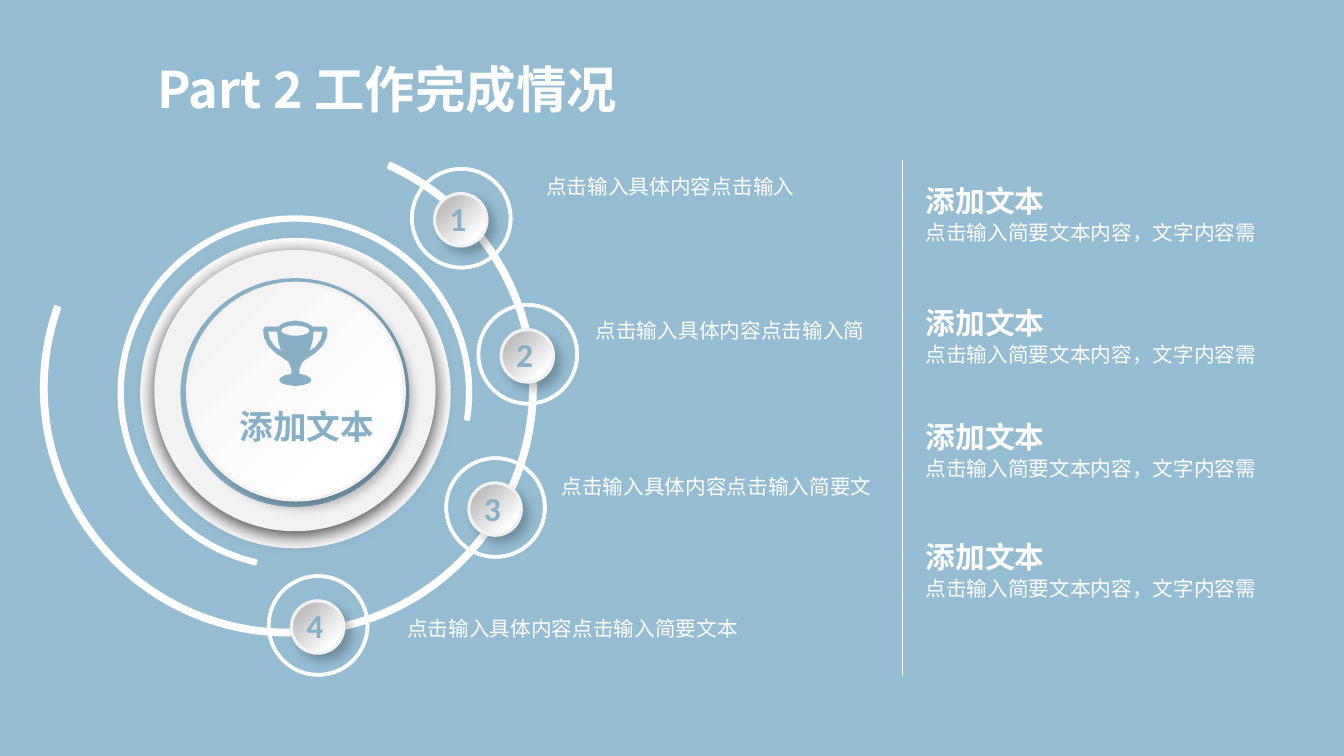
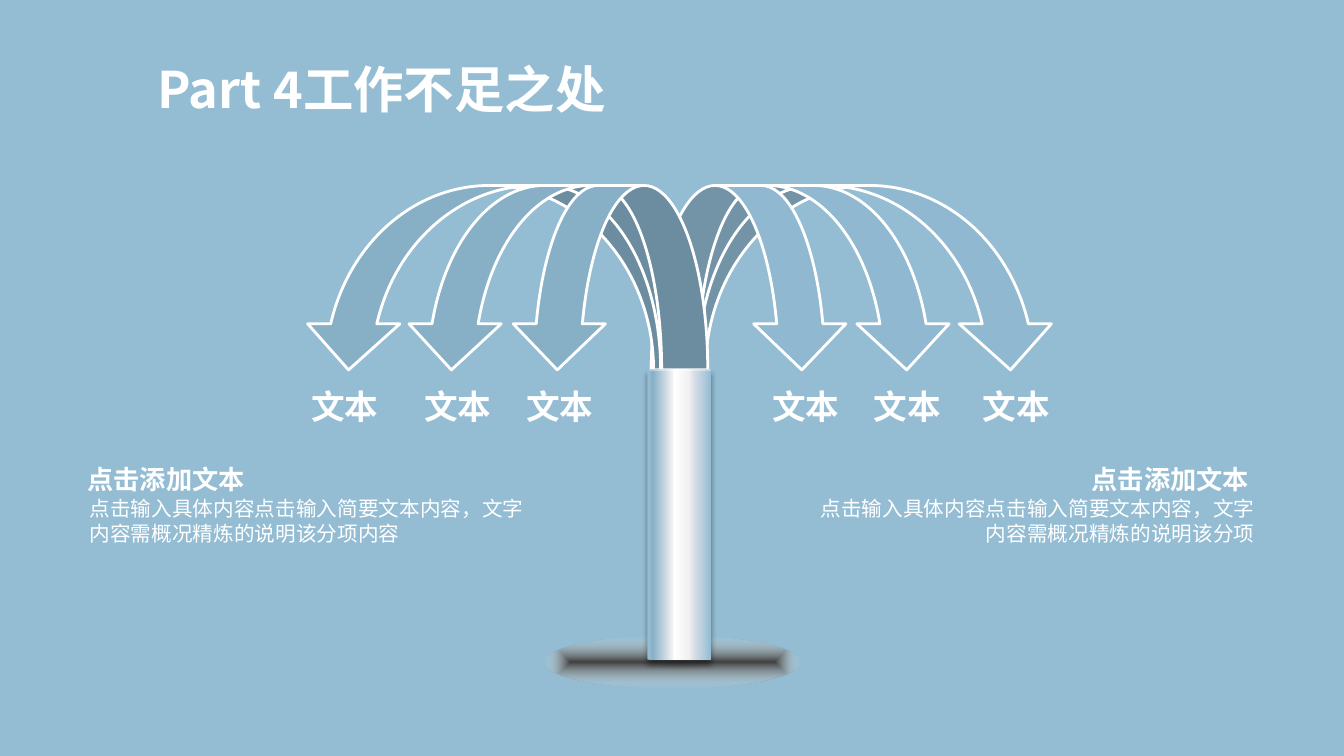
import math
from dataclasses import dataclass

import pptx
import pptx.dml.color
import pptx.enum.shapes
import pptx.enum.text
import pptx.oxml
import pptx.oxml.ns
import pptx.util
from lxml import etree

Inches, Pt = pptx.util.Inches, pptx.util.Pt
RGB = pptx.dml.color.RGBColor.from_string
KIND = pptx.enum.shapes.MSO_SHAPE
ALIGN = pptx.enum.text.PP_ALIGN
qn = pptx.oxml.ns.qn


@dataclass(frozen=True)
class Look:
    size: float
    color: str = "FFFFFF"
    bold: bool = True
    font: str = "Noto Sans CJK SC"
    lead: float = 1.28


class Theme:
    back, white, pale, blue, sky = "94BDD4", "FFFFFF", "F2F2F2", "87B0C7", "90B9D1"
    title = Look(36)
    label = Look(24)
    badge = Look(24, blue)
    digit = Look(24, blue, font="Calibri", lead=1.22)
    head = Look(21.3)
    sub = Look(18.7)
    text = Look(14.7, bold=False, lead=1.22)
    note = Look(14.7, bold=False, lead=1.27)
    disc = [(0, pale), (80, white), (100, white)]
    knob = [(20, "BFBFBF"), (80, white), (100, white)]
    pipe = [(2, back), (9, blue), (40, pale), (42, white), (65, pale),
            (75, "D6DCE5"), (100, back)]
    soft = ("000000", 23, 7, 5.9, 45)


def write(frame, items, align=ALIGN.LEFT):
    """Fill a text frame with one paragraph per (text, look) pair."""
    frame.text = "\n".join(text for text, look in items)
    frame.word_wrap = True
    frame.auto_size = pptx.enum.text.MSO_AUTO_SIZE.NONE
    frame.vertical_anchor = pptx.enum.text.MSO_ANCHOR.TOP
    for para, (text, look) in zip(frame.paragraphs, items):
        para.alignment = align
        para.line_spacing = Pt(look.size * look.lead)
        para.space_before = para.space_after = Pt(0)
        for run in para.runs:
            font = run.font
            font.size, font.bold, font.name = Pt(look.size), look.bold, look.font
            font.color.rgb = RGB(look.color)
            etree.SubElement(run._r.get_or_add_rPr(), qn("a:ea"), typeface=look.font)


def draw(shape, fill, line=None, shade=None, way='<a:lin ang="0" scaled="0"/>'):
    """Paint a shape: fill is a colour or gradient stops, line is (colour, points),
    shade is (colour, opacity, blur, distance, angle)."""
    shape.fill.solid()
    if isinstance(fill, str):
        shape.fill.fore_color.rgb = RGB(fill)
    else:
        stops = "".join(
            f'<a:gs pos="{pos * 1000}"><a:srgbClr val="{color}">'
            + "".join(f'<a:alpha val="{part * 1000}"/>' for part in alpha)
            + "</a:srgbClr></a:gs>" for pos, color, *alpha in fill)
        grad = pptx.oxml.parse_xml(
            f'<a:gradFill {pptx.oxml.ns.nsdecls("a")} rotWithShape="1">'
            f"<a:gsLst>{stops}</a:gsLst>{way}</a:gradFill>")
        props = shape.element.spPr
        props.replace(props.find(qn("a:solidFill")), grad)
    if line:
        shape.line.color.rgb, shape.line.width = RGB(line[0]), Pt(line[1])
    else:
        shape.line.fill.background()
    shape.shadow.inherit = False
    if shade:
        color, alpha, blur, dist, turn = shade
        effects = shape.element.spPr.find(qn("a:effectLst"))
        effects.append(pptx.oxml.parse_xml(
            f'<a:outerShdw {pptx.oxml.ns.nsdecls("a")} blurRad="{Pt(blur)}" '
            f'dist="{Pt(dist)}" dir="{turn * 60000}" algn="ctr" rotWithShape="0">'
            f'<a:srgbClr val="{color}"><a:alpha val="{alpha * 1000}"/></a:srgbClr>'
            "</a:outerShdw>"))


show = pptx.Presentation()
show.slide_width, show.slide_height = Inches(13.33), Inches(7.5)
master = show.slide_master
master.background.fill.solid()
master.background.fill.fore_color.rgb = RGB(Theme.back)
for holder in master.placeholders:
    if holder.placeholder_format.type == pptx.enum.shapes.PP_PLACEHOLDER.TITLE:
        holder.left, holder.top = Inches(1.46), Inches(0.49)
        holder.width, holder.height = Inches(6), Inches(0.71)

# Slide 1: work done
slide = show.slides.add_slide(show.slide_layouts[1])
shapes = slide.shapes
write(shapes.title.text_frame, [("Part 2 工作完成情况", Theme.title)])

slant = '<a:lin ang="2700000" scaled="0"/>'
for left, top, size, turn, bends in [
    (0.41, 1.4, 4.9, 199.5, (56.92, 215.88, 0.01)),
    (1.18, 2.15, 3.49, 8.1, (56.92, 0.43, 0.01)),
]:
    arc = shapes.add_shape(KIND.BLOCK_ARC, *map(Inches, (left, top, size, size)))
    arc.rotation = turn
    for index, bend in enumerate(bends):
        arc.adjustments[index] = bend
    draw(arc, Theme.white, (Theme.white, 2))

for left, top, size, fill, line, shade in [
    (1.39, 2.36, 3.08, Theme.white, None, None),
    (1.53, 2.48, 2.79, Theme.pale, None, ("000000", 76, 14, 3, 90)),
    (1.79, 2.76, 2.27, Theme.blue, None, None),
    (1.86, 2.81, 2.15, Theme.disc, (Theme.pale, 2.25), Theme.soft),
]:
    disc = shapes.add_shape(KIND.OVAL, *map(Inches, (left, top, size, size)))
    draw(disc, fill, line, shade, slant)

steps = [
    (4.07, 1.66, 5.32, 1.67, "点击输入具体内容点击输入"),
    (4.73, 3.01, 5.81, 3.1, "点击输入具体内容点击输入简"),
    (4.41, 4.53, 5.47, 4.65, "点击输入具体内容点击输入简要文"),
    (2.65, 5.7, 3.94, 6.06, "点击输入具体内容点击输入简要文本"),
]
for number, (left, top, across, down, text) in enumerate(steps, 1):
    ring = shapes.add_shape(KIND.DONUT, *map(Inches, (left, top, 1.01, 1.01)))
    ring.adjustments[0] = 0.03
    draw(ring, Theme.white, (Theme.white, 0.5))
    knob = shapes.add_shape(
        KIND.OVAL, *map(Inches, (left + 0.24, top + 0.26, 0.52, 0.52)))
    draw(knob, Theme.knob, (Theme.pale, 2.25), Theme.soft, slant)
    digit = shapes.add_textbox(*map(Inches, (left + 0.29, top + 0.25, 0.4, 0.5)))
    write(digit.text_frame, [(str(number), Theme.digit)])
    label = shapes.add_textbox(*map(Inches, (across, down, 3.6, 0.35)))
    write(label.text_frame, [(text, Theme.text)])

# Trophy: right halves as offsets from the middle, mirrored for the left
middle = 2.93
cup = [(0, 3.18), (0.07, 3.19), (0.13, 3.21), (0.17, 3.24), (0.3, 3.24),
       (0.32, 3.27), (0.31, 3.35), (0.27, 3.43), (0.2, 3.5), (0.14, 3.54),
       (0.07, 3.59), (0.04, 3.66), (0.04, 3.71), (0.1, 3.72), (0.15, 3.75),
       (0.16, 3.77), (0.14, 3.8), (0.08, 3.82), (0, 3.83)]
grip = [(0.18, 3.29), (0.27, 3.29), (0.25, 3.37), (0.2, 3.44), (0.14, 3.48),
        (0.17, 3.39)]
rim = [(0.14 * math.cos(turn), 3.28 + 0.05 * math.sin(turn))
       for turn in (math.tau * step / 32 for step in range(32))]
loops = [cup + [(-x, y) for x, y in reversed(cup)], grip,
         [(-x, y) for x, y in grip], rim]
builder = None
for loop in loops:
    start, *rest = [(Inches(middle + x), Inches(y)) for x, y in loop]
    if builder is None:
        builder = shapes.build_freeform(*start)
    else:
        builder.move_to(*start)
    builder.add_line_segments(rest, close=True)
draw(builder.convert_to_shape(), Theme.blue)

badge = shapes.add_textbox(*map(Inches, (2.28, 3.95, 1.6, 0.5)))
write(badge.text_frame, [("添加文本", Theme.badge)])

rule = shapes.add_connector(
    pptx.enum.shapes.MSO_CONNECTOR.STRAIGHT,
    *map(Inches, (8.95, 1.59, 8.95, 6.71)))
rule.line.color.rgb, rule.line.width = RGB(Theme.white), Pt(0.5)
etree.SubElement(rule.element.spPr, qn("a:effectLst"))

body = slide.placeholders[1]
body.left, body.top = Inches(9.08), Inches(1.74)
body.width, body.height = Inches(3.74), Inches(4.3)
pair = [("添加文本", Theme.head), ("点击输入简要文本内容，文字内容需", Theme.note)]
write(body.text_frame, pair * 4)
paras = body.text_frame.paragraphs
for para in paras:
    props = para._p.get_or_add_pPr()
    props.set("marL", "0")
    props.set("indent", "0")
    etree.SubElement(props, qn("a:buNone"))
for para, gap in zip(paras[2::2], (41, 35.5, 40)):
    para.space_before = Pt(gap)

# Slide 2: shortfalls
slide = show.slides.add_slide(show.slide_layouts[5])
shapes = slide.shapes
write(shapes.title.text_frame, [("Part 4工作不足之处", Theme.title)])

base = shapes.add_shape(KIND.OVAL, *map(Inches, (5.4, 6.31, 2.54, 0.52)))
draw(base, [(0, "404040"), (100, "EEECE1", 0)],
     way='<a:path path="shape"><a:fillToRect l="50000" t="50000" r="50000" '
         'b="50000"/></a:path>')

for left, lead, inset, side, text in [
    (7.94, 10.73, 4.6, ALIGN.RIGHT,
     "点击输入具体内容点击输入简要文本内容，文字内容需概况精炼的说明该分项"),
    (0.79, 0.77, 4.6, ALIGN.LEFT,
     "点击输入具体内容点击输入简要文本内容，文字内容需概况精炼的说明该分项内容"),
]:
    detail = shapes.add_textbox(*map(Inches, (left, 4.87, inset, 0.59)))
    write(detail.text_frame, [(text, Theme.text)], side)
    head = shapes.add_textbox(*map(Inches, (lead, 4.53, 1.8, 0.42)))
    write(head.text_frame, [("点击添加文本", Theme.sub)])

for flip, fill, lefts in [
    (False, Theme.sky, (6.54, 6.46, 6.46)),
    (True, Theme.blue, (3, 4.02, 5.07)),
]:
    for left, width in zip(lefts, (3.94, 2.99, 1.95)):
        arrow = shapes.add_shape(
            KIND.CURVED_DOWN_ARROW, *map(Inches, (left, 1.84, width, 1.83)))
        if flip:
            arrow.element.spPr.get_or_add_xfrm().set("flipH", "1")
        draw(arrow, fill, (Theme.white, 2))

pipe = shapes.add_shape(KIND.CAN, *map(Inches, (6.42, 3.66, 0.63, 2.89)))
pipe.adjustments[0] = 0.03
draw(pipe, Theme.pipe, shade=("000000", 40, 4, 3, 90))

for left in (2.99, 4.11, 5.12, 7.56, 8.57, 9.65):
    label = shapes.add_textbox(*map(Inches, (left, 3.75, 0.9, 0.5)))
    write(label.text_frame, [("文本", Theme.label)])

show.save("out.pptx")
